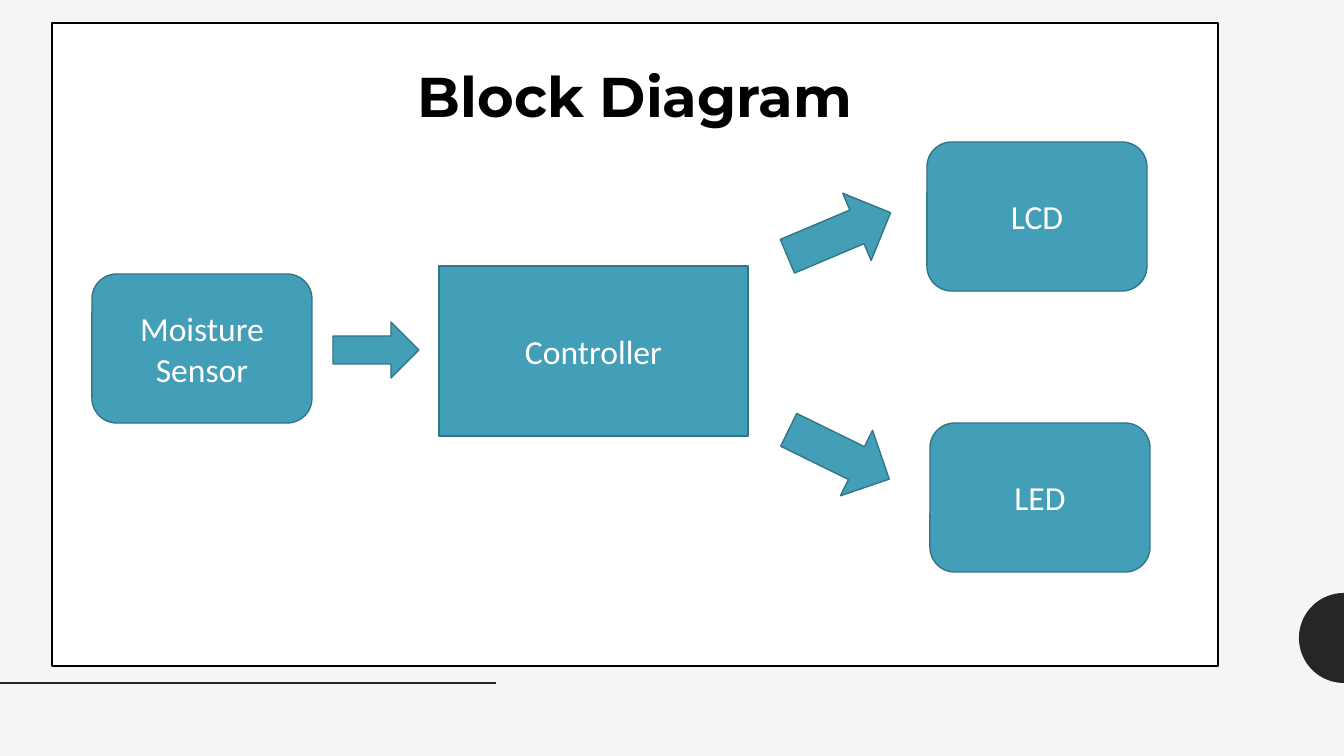
"""Builds a slide with the block diagram of a moisture sensing circuit."""
from math import cos, pi, sin

from lxml import etree
from pptx import Presentation
from pptx.dml.color import RGBColor
from pptx.enum.shapes import MSO_CONNECTOR, MSO_SHAPE
from pptx.enum.text import MSO_ANCHOR, MSO_AUTO_SIZE, PP_ALIGN
from pptx.oxml.ns import qn
from pptx.util import Pt

RECTANGLE = MSO_SHAPE.RECTANGLE
ROUNDED = MSO_SHAPE.ROUNDED_RECTANGLE
ARROW = MSO_SHAPE.RIGHT_ARROW
STRAIGHT = MSO_CONNECTOR.STRAIGHT
CENTER = PP_ALIGN.CENTER
TOP, MIDDLE = MSO_ANCHOR.TOP, MSO_ANCHOR.MIDDLE
NO_AUTOFIT = MSO_AUTO_SIZE.NONE

TITLE_ONLY = 5
PAGE_WIDTH, PAGE_HEIGHT = 1344, 756
COLORS = {
    "background": "F5F5F5",
    "panel": "FFFFFF",
    "ink": "000000",
    "accent": "262626",
    "block": "439EB7",
    "edge": "327587",
    "label": "FFFFFF",
}
BLOCKS = [
    (RECTANGLE, "Controller", 439, 266, 309, 170),
    (ROUNDED, "LED", 930, 423, 220, 149),
    (ROUNDED, "LCD", 927, 142, 220, 149),
    (ROUNDED, "Moisture Sensor", 92, 274, 220, 149),
]
ARROWS = [
    (333, 322, 86, 56, 0),
    (783, 198, 112, 73, 337.1),
    (783, 418, 112, 73, 26.1),
]


def px(length):
    """Turn pixels into EMU."""
    return round(length * 12192000 / PAGE_WIDTH)


def color(name):
    """Look up a colour by its role."""
    return RGBColor.from_string(COLORS[name])


def paint(shape, fill, line):
    """Give a shape a solid fill and a thin outline."""
    shape.fill.solid()
    shape.fill.fore_color.rgb = color(fill)
    shape.line.color.rgb = color(line)
    shape.line.width = Pt(1)


def write(shape, text, font_name, size, ink, anchor, bold=False):
    """Put one centred paragraph into a shape and return it."""
    frame = shape.text_frame
    frame.word_wrap = True
    frame.auto_size = NO_AUTOFIT
    frame.vertical_anchor = anchor
    para = frame.paragraphs[0]
    para.text = text
    para.alignment = CENTER
    para.font.name = font_name
    para.font.size = Pt(size)
    para.font.bold = bold
    para.font.color.rgb = color(ink)
    return para


def add_panel_title(page, text, left, top, width, height):
    """Make the title placeholder the outlined panel behind the diagram."""
    panel = page.shapes.title
    panel.left, panel.top = px(left), px(top)
    panel.width, panel.height = px(width), px(height)
    paint(panel, "panel", "ink")
    para = write(panel, text, "Montserrat", 40, "ink", TOP, bold=True)
    para.line_spacing = 1.5
    para.space_before = Pt(0)


def add_half_disc(page, center_x, center_y, radius):
    """Draw the left half of a disc."""
    steps = 48
    angles = [pi / 2 + pi * step / steps for step in range(steps + 1)]
    points = [(px(center_x + radius * cos(angle)), px(center_y + radius * sin(angle)))
              for angle in angles]
    builder = page.shapes.build_freeform(*points[0])
    builder.add_line_segments(points[1:], close=True)
    disc = builder.convert_to_shape()
    disc.shadow.inherit = False
    disc.fill.solid()
    disc.fill.fore_color.rgb = color("accent")
    disc.line.fill.background()


def add_rule(page, left, right, y):
    """Draw a horizontal rule."""
    rule = page.shapes.add_connector(STRAIGHT, px(left), px(y), px(right), px(y))
    rule.line.color.rgb = color("accent")
    rule.line.width = Pt(2)
    etree.SubElement(rule.element.spPr, qn("a:effectLst"))


def add_part(page, kind, left, top, width, height):
    """Draw one part of the diagram."""
    part = page.shapes.add_shape(kind, px(left), px(top), px(width), px(height))
    part.shadow.inherit = False
    paint(part, "block", "edge")
    return part


def main():
    """Build and save the deck."""
    deck = Presentation()
    deck.slide_width, deck.slide_height = px(PAGE_WIDTH), px(PAGE_HEIGHT)
    page = deck.slides.add_slide(deck.slide_layouts[TITLE_ONLY])
    page.background.fill.solid()
    page.background.fill.fore_color.rgb = color("background")

    add_panel_title(page, "Block Diagram", 52, 23, 1166, 643)
    add_half_disc(page, PAGE_WIDTH, 638, 45)
    add_rule(page, 0, 496, 683)
    for kind, label, *place in BLOCKS:
        block = add_part(page, kind, *place)
        write(block, label, "Calibri", 24, "label", MIDDLE)
    for *place, angle in ARROWS:
        arrow = add_part(page, ARROW, *place)
        arrow.rotation = angle

    deck.save("out.pptx")


if __name__ == "__main__":
    main()
